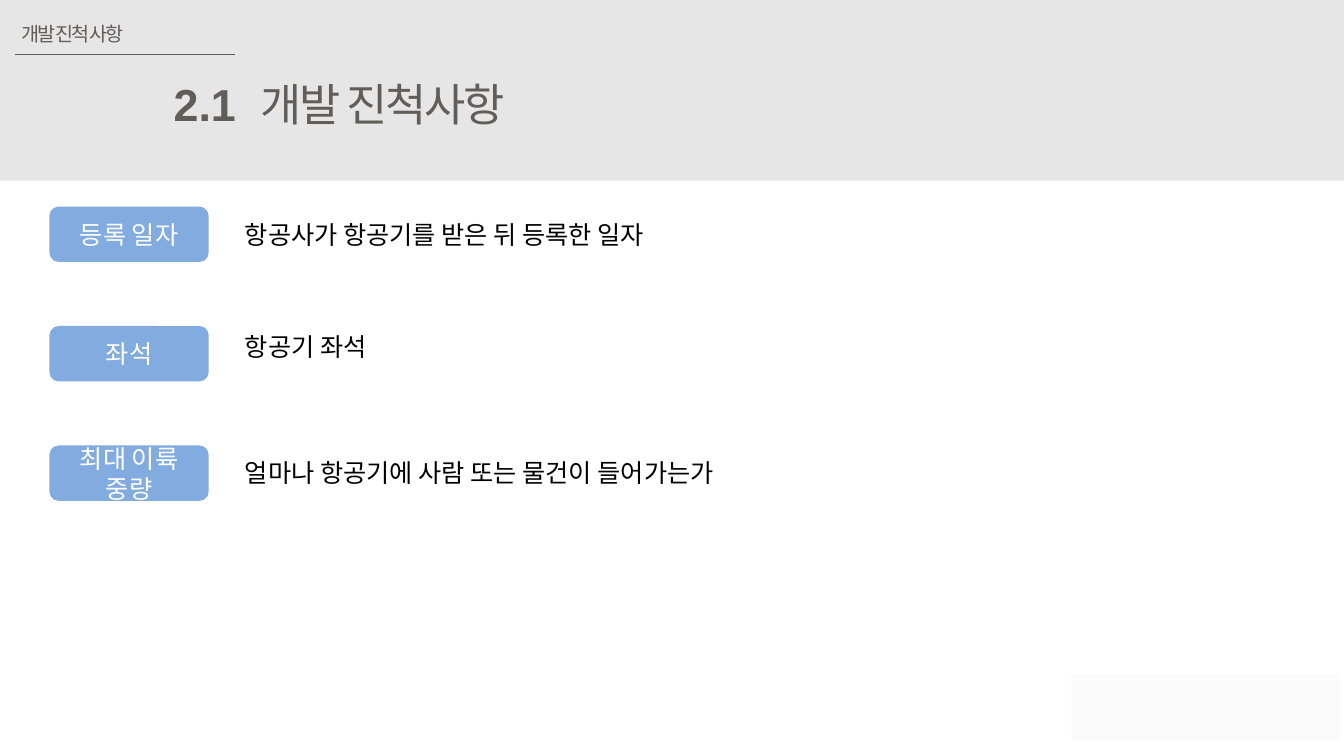
from lxml import etree
from pptx import Presentation
from pptx import util as u
from pptx.dml.color import RGBColor
from pptx.enum import shapes, text
from pptx.oxml.ns import qn

GREY, BAND, BLUE = "5F5E58", "E7E6E6", "82ABDF"
WHITE, BLACK, PALE = "FFFFFF", "000000", "FBFBFB"
LATIN, KOREAN = "Arial", "Noto Sans CJK KR"


def color(hex_string):
    return RGBColor.from_string(hex_string)


class Page:
    """Current slide; every length is a percentage of the slide's size."""

    def __init__(self, deck):
        self.width, self.height = deck.slide_width, deck.slide_height
        self.slide = deck.slides.add_slide(deck.slide_layouts[5])
        self.shapes = self.slide.shapes

    def box(self, left, top, width, height):
        return (int(self.width * left / 100), int(self.height * top / 100),
                int(self.width * width / 100), int(self.height * height / 100))

    def set_words(self, shape, words, size, ink, font=LATIN, bold=False,
                  align=text.PP_ALIGN.LEFT, spacing=0):
        shape.text_frame.text = words
        paragraph = shape.text_frame.paragraphs[0]
        paragraph.alignment = align
        run = paragraph.runs[0]
        run.font.size, run.font.name = u.Pt(size), font
        run.font.bold = bold
        run.font.color.rgb = color(ink)
        properties = run._r.get_or_add_rPr()
        etree.SubElement(properties, qn("a:ea")).set("typeface", KOREAN)
        if spacing:
            properties.set("spc", str(int(spacing * 100)))

    def panel(self, place, fill, kind=shapes.MSO_SHAPE.RECTANGLE):
        shape = self.shapes.add_shape(kind, *self.box(*place))
        shape.shadow.inherit = False
        shape.fill.solid()
        shape.fill.fore_color.rgb = color(fill)
        shape.line.fill.background()
        return shape

    def label(self, place, words):
        shape = self.panel(place, BLUE, shapes.MSO_SHAPE.ROUNDED_RECTANGLE)
        shape.text_frame.vertical_anchor = text.MSO_ANCHOR.MIDDLE
        self.set_words(shape, words, 18, WHITE, align=text.PP_ALIGN.CENTER)

    def caption(self, place, words, size, ink, wrap=False, **style):
        shape = self.shapes.add_textbox(*self.box(*place))
        self.fit(shape, wrap)
        self.set_words(shape, words, size, ink, **style)

    def title(self, place, words, size, ink, **style):
        shape = self.shapes.title
        shape.left, shape.top, shape.width, shape.height = self.box(*place)
        self.fit(shape, False)
        self.set_words(shape, words, size, ink, **style)

    def fit(self, shape, wrap):
        frame = shape.text_frame
        frame.word_wrap = wrap
        frame.auto_size = text.MSO_AUTO_SIZE.SHAPE_TO_FIT_TEXT
        frame.vertical_anchor = text.MSO_ANCHOR.TOP

    def rule(self, left, top, width, ink, weight):
        x, y, length, _ = self.box(left, top, width, 0)
        line = self.shapes.add_connector(
            shapes.MSO_CONNECTOR.STRAIGHT, x, y, x + length, y)
        line.line.color.rgb = color(ink)
        line.line.width = u.Pt(weight)
        etree.SubElement(line.element.spPr, qn("a:effectLst"))


def main():
    deck = Presentation()
    deck.slide_width, deck.slide_height = u.Inches(13.33), u.Inches(7.5)
    page = Page(deck)

    # Header band, placed behind the title
    band = page.panel((0, 0, 100, 23.9), BAND)
    page.shapes.title.element.addprevious(band.element)
    page.rule(1.13, 7.2, 16.35, GREY, 0.5)
    page.caption((0.83, 2.27, 9.9, 4.53), "개발 진척 사항", 14, GREY,
                 spacing=-1.5)
    page.caption((12.15, 9.47, 6.15, 8.53), "2.1", 32, GREY, bold=True,
                 align=text.PP_ALIGN.RIGHT)
    page.title((18.6, 9.47, 22.36, 8.53), "개발 진척사항", 32, GREY,
               font=KOREAN, spacing=-1.5)

    # Footer corner
    page.panel((79.74, 89.2, 19.95, 8.67), PALE)

    # Terms and their meanings
    first_row, row_pitch = 27.33, 15.8
    terms = [
        ("등록 일자", "항공사가 항공기를 받은 뒤 등록한 일자", 28.4),
        ("좌석", "항공기 좌석", 43.2),
        ("최대 이륙 중량", "얼마나 항공기에 사람 또는 물건이 들어가는가", 59.87),
    ]
    for row, (term, meaning, meaning_top) in enumerate(terms):
        page.label((3.68, first_row + row * row_pitch, 11.85, 7.33), term)
        page.caption((17.48, meaning_top, 55.89, 5.33), meaning, 18, BLACK,
                     wrap=True)

    deck.save("out.pptx")


if __name__ == "__main__":
    main()
